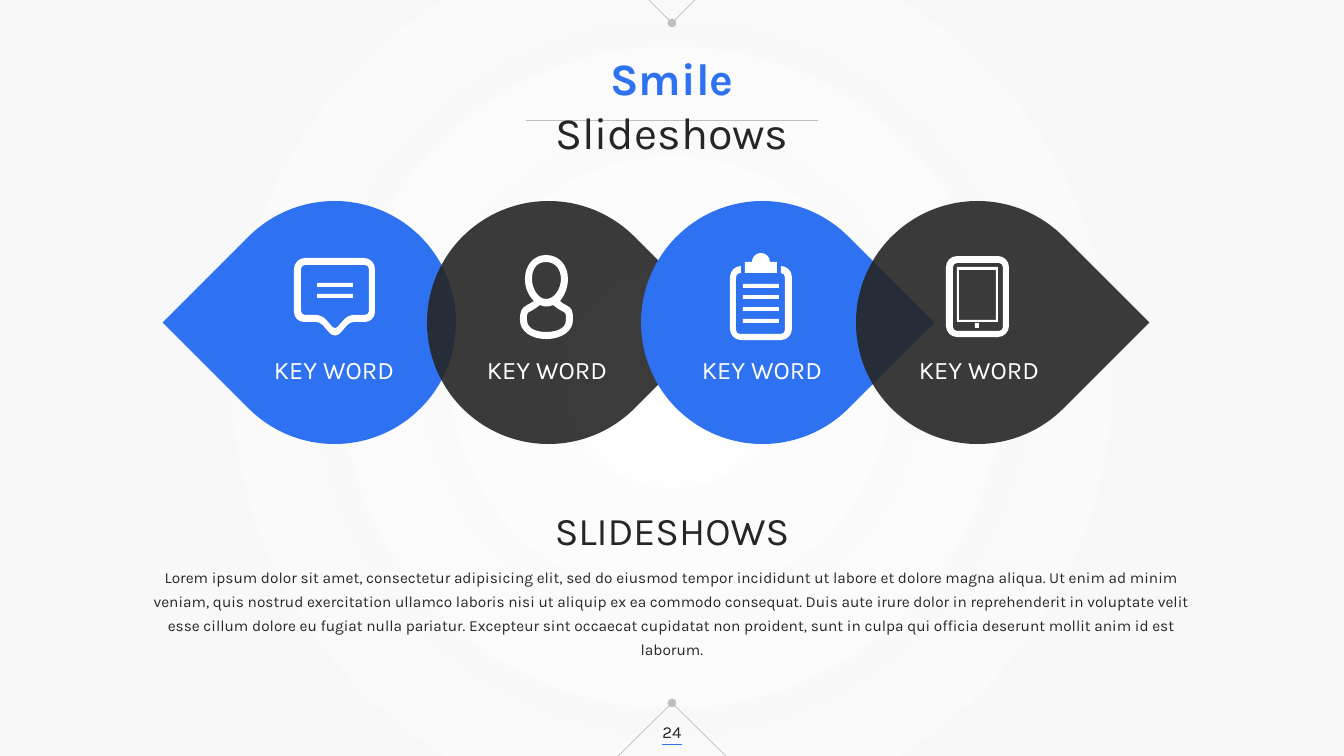
import math

import lxml.etree
import pptx
import pptx.dml.color
import pptx.enum.shapes
import pptx.enum.text
import pptx.oxml
import pptx.oxml.ns
import pptx.util

SHAPE = pptx.enum.shapes.MSO_SHAPE
ANCHOR = pptx.enum.text.MSO_ANCHOR
WIDTH, HEIGHT = 1344, 756
CENTER = WIDTH // 2
COLORS = {"blue": "2E72F1", "dark": "262626", "white": "FFFFFF", "line": "BFBFBF", "edge": "F2F2F2"}
BODY = (
    "Lorem ipsum dolor sit amet, consectetur adipisicing elit, sed do eiusmod tempor incididunt "
    "ut labore et dolore magna aliqua. Ut enim ad minim veniam, quis nostrud exercitation ullamco "
    "laboris nisi ut aliquip ex ea commodo consequat. Duis aute irure dolor in reprehenderit in "
    "voluptate velit esse cillum dolore eu fugiat nulla pariatur. Excepteur sint occaecat cupidatat "
    "non proident, sunt in culpa qui officia deserunt mollit anim id est laborum."
)


def rounded(*corners):
    steps = []
    for i, (x, y, radius) in enumerate(corners):
        ends = []
        for nx, ny, _ in (corners[i - 1], corners[(i + 1) % len(corners)]):
            part = radius / math.hypot(nx - x, ny - y)
            ends.append((part * (nx - x), part * (ny - y)))
        (ax, ay), (bx, by) = ends
        start = (x + ax, y + ay)
        if not steps or math.dist(steps[-1][-1], start) > 0.1:
            steps.append((start,))
        if radius:
            steps.append(((x + 0.45 * ax, y + 0.45 * ay), (x + 0.45 * bx, y + 0.45 * by), (x + bx, y + by)))
    return steps


def frame(left, top, right, bottom, radius=0):
    return rounded((left, top, radius), (right, top, radius), (right, bottom, radius), (left, bottom, radius))


class SlideKit:
    font = "Karla"
    scale = 12192000 / WIDTH
    fine = 10

    def __init__(self, slide):
        self.slide = slide
        self.shapes = slide.shapes

    def px(self, *lengths):
        return [pptx.util.Emu(round(length * self.scale)) for length in lengths]

    def color(self, name):
        return pptx.dml.color.RGBColor.from_string(COLORS[name])

    def paint(self, shape, color, opacity=100):
        shape.shadow.inherit = False
        shape.line.fill.background()
        shape.fill.solid()
        shape.fill.fore_color.rgb = self.color(color)
        if opacity < 100:
            swatch = shape.fill._xPr.find(".//" + pptx.oxml.ns.qn("a:srgbClr"))
            lxml.etree.SubElement(swatch, pptx.oxml.ns.qn("a:alpha"), val=str(opacity * 1000))

    def preset(self, kind, box, color="white", opacity=100, rotation=0):
        shape = self.shapes.add_shape(kind, *self.px(*box))
        shape.rotation = rotation
        self.paint(shape, color, opacity)
        return shape

    def backdrop(self):
        shape = self.preset(SHAPE.RECTANGLE, (0, 0, WIDTH, HEIGHT))
        gradient = pptx.oxml.parse_xml(
            f'<a:gradFill {pptx.oxml.ns.nsdecls("a")} rotWithShape="1"><a:gsLst>'
            f'<a:gs pos="0"><a:srgbClr val="{COLORS["white"]}"/></a:gs>'
            f'<a:gs pos="100000"><a:srgbClr val="{COLORS["edge"]}"><a:alpha val="40000"/></a:srgbClr></a:gs>'
            '</a:gsLst><a:path path="circle">'
            '<a:fillToRect l="50000" t="50000" r="50000" b="50000"/></a:path></a:gradFill>'
        )
        properties = shape.fill._xPr
        properties.replace(properties.find(pptx.oxml.ns.qn("a:solidFill")), gradient)

    def outline(self, *contours):
        contours = [[[(round(x * self.fine), round(y * self.fine)) for x, y in step] for step in contour]
                    for contour in contours]
        builder = self.shapes.build_freeform(*contours[0][0][-1], scale=self.scale / self.fine)
        for index, contour in enumerate(contours):
            if index:
                builder.move_to(*contour[0][-1])
            builder.add_line_segments([step[-1] for step in contour[1:]], close=True)
        shape = builder.convert_to_shape()
        self.bend(shape, [step for contour in contours for step in contour[1:]])
        self.paint(shape, "white")

    def bend(self, shape, steps):
        qn = pptx.oxml.ns.qn
        left = min(step[-1][0] for step in steps)
        top = min(step[-1][1] for step in steps)
        for segment, step in zip(list(shape._element.iter(qn("a:lnTo"))), steps):
            if len(step) == 3:
                curve = lxml.etree.Element(qn("a:cubicBezTo"))
                for x, y in step:
                    lxml.etree.SubElement(curve, qn("a:pt"), x=str(x - left), y=str(y - top))
                segment.getparent().replace(segment, curve)

    def line(self, start, end, color="line", dotted_end=False):
        rule = self.shapes.add_connector(pptx.enum.shapes.MSO_CONNECTOR.STRAIGHT, *self.px(*start, *end))
        rule.line.color.rgb = self.color(color)
        rule.line.width = pptx.util.Pt(0.5)
        if dotted_end:
            lxml.etree.SubElement(rule.line._get_or_add_ln(), pptx.oxml.ns.qn("a:tailEnd"), type="oval")
        lxml.etree.SubElement(rule._element.spPr, pptx.oxml.ns.qn("a:effectLst"))

    def text(self, box, size, runs, anchor=ANCHOR.TOP, spacing=None, inset=10):
        frame_text = self.shapes.add_textbox(*self.px(*box)).text_frame
        frame_text.word_wrap = True
        frame_text.vertical_anchor = anchor
        frame_text.margin_left, frame_text.margin_right = self.px(inset, inset)
        paragraph = frame_text.paragraphs[0]
        paragraph.alignment = pptx.enum.text.PP_ALIGN.CENTER
        paragraph.line_spacing = spacing
        for words, color, bold in runs:
            run = paragraph.add_run()
            run.text = words
            run.font.name = self.font
            run.font.size = pptx.util.Pt(size)
            run.font.bold = bold
            run.font.color.rgb = self.color(color)


def draw_bubble(kit):
    kit.outline(
        rounded((294, 258, 11), (375, 258, 11), (375, 322, 10), (350, 322, 4),
                (335, 339, 8), (320, 322, 4), (294, 322, 10)),
        rounded((301, 265, 4), (369, 265, 4), (369, 315, 4), (348, 315, 6),
                (335, 330, 4), (322, 315, 6), (301, 315, 4)),
    )
    for top in (283, 294):
        kit.preset(SHAPE.RECTANGLE, (317, top, 36, 4))


def draw_person(kit):
    kit.outline(
        [((566, 305),), ((564, 304), (562, 303), (560, 301)), ((565, 295), (568, 287), (568, 279)),
         ((568, 265), (559, 255), (546, 255)), ((534, 255), (525, 265), (525, 279)),
         ((525, 287), (528, 295), (534, 301)), ((531, 303), (529, 304), (527, 305)),
         ((522, 308), (520, 310), (520, 320)), ((520, 331), (531, 339), (546, 339)),
         ((562, 339), (573, 331), (573, 320)), ((573, 310), (572, 308), (566, 305))],
        [((532, 279),), ((532, 270), (536, 262), (546, 262)), ((556, 262), (561, 270), (561, 279)),
         ((561, 288), (555, 299), (546, 299)), ((538, 299), (532, 288), (532, 279))],
        [((546, 332),), ((542, 332), (527, 331), (527, 320)), ((527, 313), (527, 313), (531, 311)),
         ((533, 310), (536, 308), (540, 305)), ((544, 307), (549, 307), (553, 305)),
         ((557, 308), (560, 310), (562, 311)), ((566, 313), (566, 313), (566, 320)),
         ((566, 331), (551, 332), (546, 332))],
    )


def draw_clipboard(kit):
    kit.outline(rounded(
        (741, 266, 0), (730, 266, 11), (730, 340, 11), (792, 340, 11), (792, 266, 11), (781, 266, 0),
        (781, 273, 0), (785, 273, 4), (785, 334, 4), (736, 334, 4), (736, 273, 4), (741, 273, 0)))
    kit.outline(rounded(
        (745, 262, 0), (752, 262, 0), (752, 253, 9), (770, 253, 9),
        (770, 262, 0), (777, 262, 0), (777, 273, 0), (745, 273, 0)))
    for row in range(4):
        kit.preset(SHAPE.RECTANGLE, (743, 284 + 35 * row // 3, 36, 4))


def draw_tablet(kit):
    kit.outline(frame(946, 256, 1009, 337, 11), frame(953, 263, 1003, 331, 4))
    kit.outline(frame(957, 267, 998, 322), frame(959, 270, 996, 320))
    kit.preset(SHAPE.RECTANGLE, (975, 323, 4, 5))


def main():
    deck = pptx.Presentation()
    deck.slide_width, deck.slide_height = pptx.util.Emu(12192000), pptx.util.Emu(6858000)
    kit = SlideKit(deck.slides.add_slide(deck.slide_layouts[6]))

    kit.backdrop()
    kit.line((526, 120), (818, 120))
    for edge, tip, spread in ((HEIGHT, 703, 54), (0, 23, 23)):
        for side in (-1, 1):
            kit.line((CENTER + side * spread, edge), (CENTER, tip), dotted_end=True)
    kit.line((662, 744), (682, 744), "blue")
    kit.text((485, 46, 374, 65), 32, [("Smile", "blue", True), (" Slideshows", "dark", False)], inset=45)
    kit.text((637, 712, 70, 40), 12, [("24", "dark", False)], ANCHOR.MIDDLE)

    drops = (("blue", 100, 225), ("dark", 90, 45), ("blue", 100, 45), ("dark", 90, 45))
    for index, (color, opacity, rotation) in enumerate(drops):
        kit.preset(SHAPE.TEAR, (213 + 643 * index // 3, 201, 243, 243), color, opacity, rotation)
    for draw_icon in (draw_bubble, draw_person, draw_clipboard, draw_tablet):
        draw_icon(kit)
    for left in (248, 461, 676, 893):
        kit.text((left, 349, 172, 40), 18, [("KEY WORD", "white", False)])

    kit.text((133, 558, 1078, 83), 11, [(BODY, "dark", False)], spacing=1.3)
    kit.text((468, 501, 408, 57), 28, [("SLIDESHOWS", "dark", False)])
    deck.save("out.pptx")


if __name__ == "__main__":
    main()
